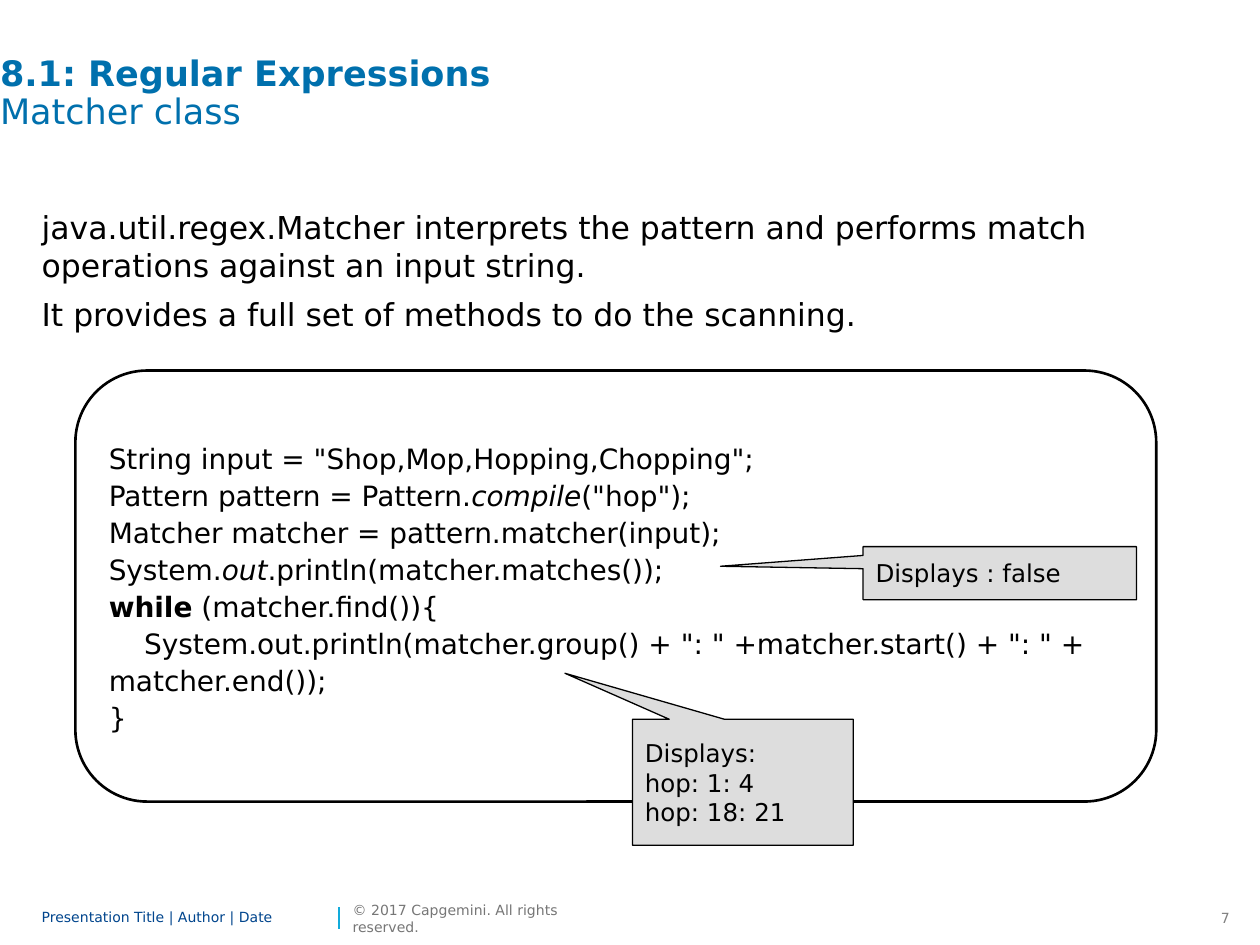
from pptx import Presentation
from pptx.dml.color import RGBColor
from pptx.enum import shapes, text
from pptx.oxml.ns import qn
from pptx.util import Cm, Pt

FONT = "DejaVu Sans"
BLACK = "000000"

# Paragraphs are lists of (text, style) runs; style is "", "b" or "i".
TITLE = [[("8.1: Regular Expressions \v", "b"), ("Matcher class", "")]]
BODY = [
    [("java.util.regex.Matcher interprets the pattern and performs match "
      "operations against an input string.", "")],
    [("It provides a full set of methods to do the scanning.", "")],
]
CODE = [
    [('String input = "Shop,Mop,Hopping,Chopping";', "")],
    [("Pattern pattern = Pattern.", ""), ("compile", "i"), ('("hop");', "")],
    [("Matcher matcher = pattern.matcher(input);", "")],
    [("System.", ""), ("out", "i"), (".println(matcher.matches());", "")],
    [("while", "b"), (" (matcher.find()){", "")],
    [('    System.out.println(matcher.group() + ": " +matcher.start() + ": " + matcher.end());', "")],
    [("}", "")],
]
# Position in cm, callout tip relative to the box, lines
CALLOUTS = [
    ((17.4, 11.02, 5.51, 1.07), (-1.022, -0.129), ["Displays : false"]),
    ((12.75, 14.5, 4.45, 2.54), (-0.806, -0.865),
     ["Displays:", "hop: 1: 4", "hop: 18: 21"]),
]
# Position in cm, text, colour, line spacing
FOOTERS = [
    ((0.84, 18.21, 5.89, 0.61), "Presentation Title | Author | Date", "00458D", 0.85),
    ((7.11, 18.21, 4.62, 0.61), "© 2017 Capgemini. All rights reserved.", "767676", 1.0),
]
PAGE_NUMBER = ((24.05, 18.21, 0.99, 0.61), "7", "808080")


def rgb(value):
    return RGBColor.from_string(value)


def cm(box):
    return [Cm(v) for v in box]


def place(s, box):
    s.left, s.top, s.width, s.height = cm(box)


def write(s, paragraphs, size, color=BLACK, spacing=1.0, after=0,
          align=text.PP_ALIGN.LEFT, anchor=text.MSO_ANCHOR.MIDDLE,
          inset=True, wrap=True):
    tf = s.text_frame
    tf.word_wrap = wrap
    tf.auto_size = text.MSO_AUTO_SIZE.NONE
    tf.vertical_anchor = anchor
    if not inset:
        tf.margin_left = tf.margin_right = tf.margin_top = tf.margin_bottom = 0
    for i, runs in enumerate(paragraphs):
        p = tf.paragraphs[0] if i == 0 else tf.add_paragraph()
        p.alignment = align
        p.line_spacing = spacing
        p.space_before = Pt(0)
        p.space_after = Pt(after)
        for words, style in runs:
            r = p.add_run()
            r.text = words.rstrip("\v")
            r.font.name = FONT
            r.font.size = Pt(size)
            r.font.bold = style == "b"
            r.font.italic = style == "i"
            r.font.color.rgb = rgb(color)
            if words.endswith("\v"):
                p.add_line_break()


def add_box(slide, kind, box, line_width, fill=None):
    s = slide.shapes.add_shape(kind, *cm(box))
    s.shadow.inherit = False
    if fill:
        s.fill.solid()
        s.fill.fore_color.rgb = rgb(fill)
    else:
        s.fill.background()
    s.line.color.rgb = rgb(BLACK)
    s.line.width = Pt(line_width)
    return s


def add_footer(slide):
    for box, words, color, spacing in FOOTERS:
        write(slide.shapes.add_textbox(*cm(box)), [[(words, "")]], 8, color,
              spacing, inset=False)
    box, words, color = PAGE_NUMBER
    write(slide.shapes.add_textbox(*cm(box)), [[(words, "")]], 8, color,
          align=text.PP_ALIGN.RIGHT, anchor=text.MSO_ANCHOR.TOP)
    rule = slide.shapes.add_connector(
        shapes.MSO_CONNECTOR.STRAIGHT, *cm((6.83, 18.72, 6.83, 18.29)))
    rule.line.color.rgb = rgb("12ABDB")
    rule.line.width = Pt(1)
    sp_pr = rule._element.spPr
    sp_pr.append(sp_pr.makeelement(qn("a:effectLst"), {}))


def main():
    prs = Presentation()
    prs.slide_width, prs.slide_height = Cm(25.4), Cm(19.05)
    slide = prs.slides.add_slide(prs.slide_layouts[1])
    add_footer(slide)

    title, body = slide.placeholders
    place(title, (0, 1.14, 23.7, 2.39))
    write(title, TITLE, 20, "0070AD", 0.9, anchor=text.MSO_ANCHOR.TOP, inset=False)

    place(body, (0.84, 4.17, 24.56, 12.9))
    write(body, BODY, 18, spacing=Pt(22), after=6,
          anchor=text.MSO_ANCHOR.TOP, inset=False)
    for p in body.text_frame.paragraphs:
        p_pr = p._p.get_or_add_pPr()
        p_pr.set("marL", "0")
        p_pr.set("indent", "0")
        p_pr.append(p_pr.makeelement(qn("a:buNone"), {}))

    code = add_box(slide, shapes.MSO_SHAPE.ROUNDED_RECTANGLE,
                   (1.52, 7.47, 21.79, 8.69), 1.5)
    write(code, CODE, 16, spacing=1.1)

    for box, tip, lines in CALLOUTS:
        s = add_box(slide, shapes.MSO_SHAPE.RECTANGULAR_CALLOUT, box, 0.75, "DDDDDD")
        s.adjustments[0], s.adjustments[1] = tip
        write(s, [[(line, "")] for line in lines], 14)

    prs.save("out.pptx")


if __name__ == "__main__":
    main()
